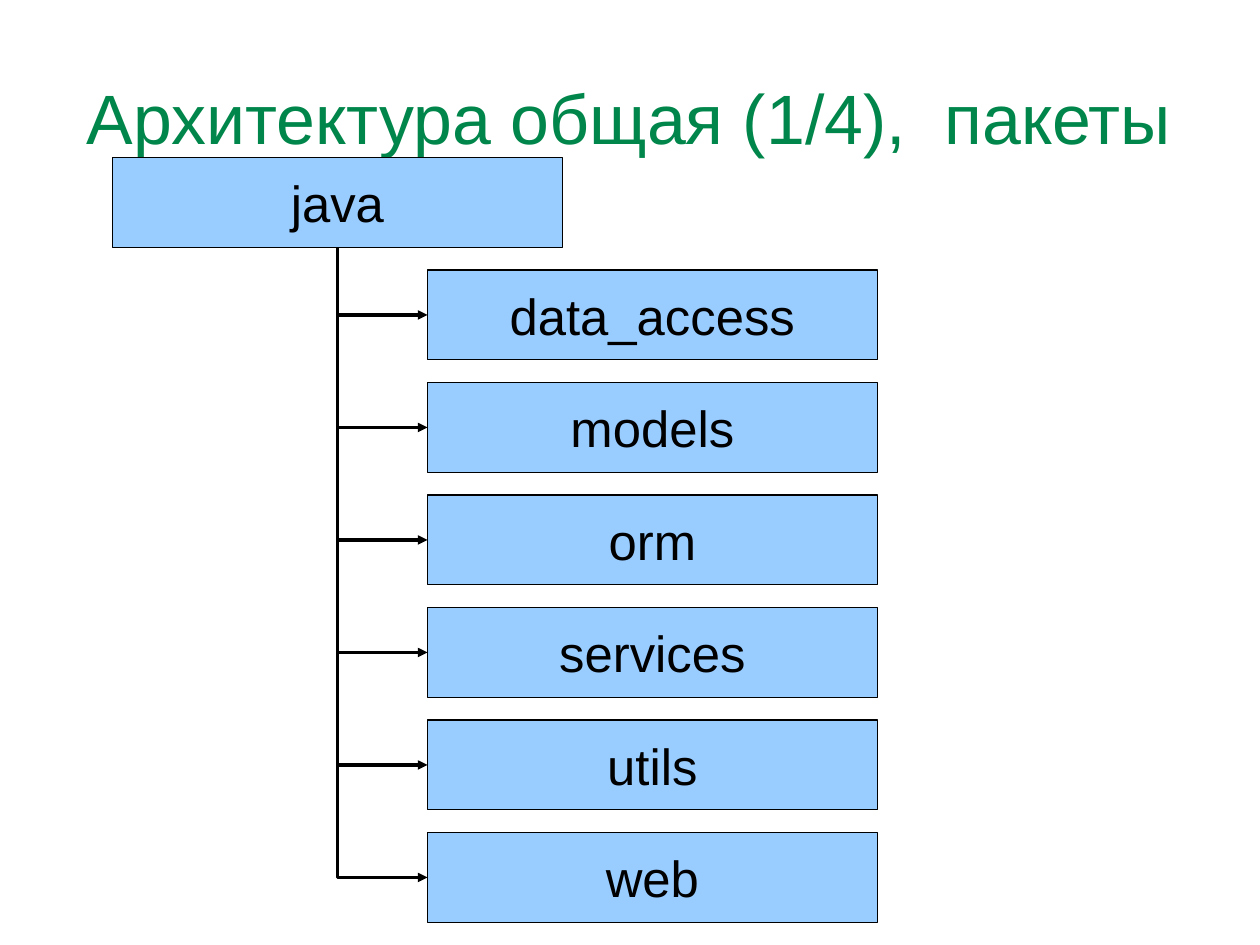
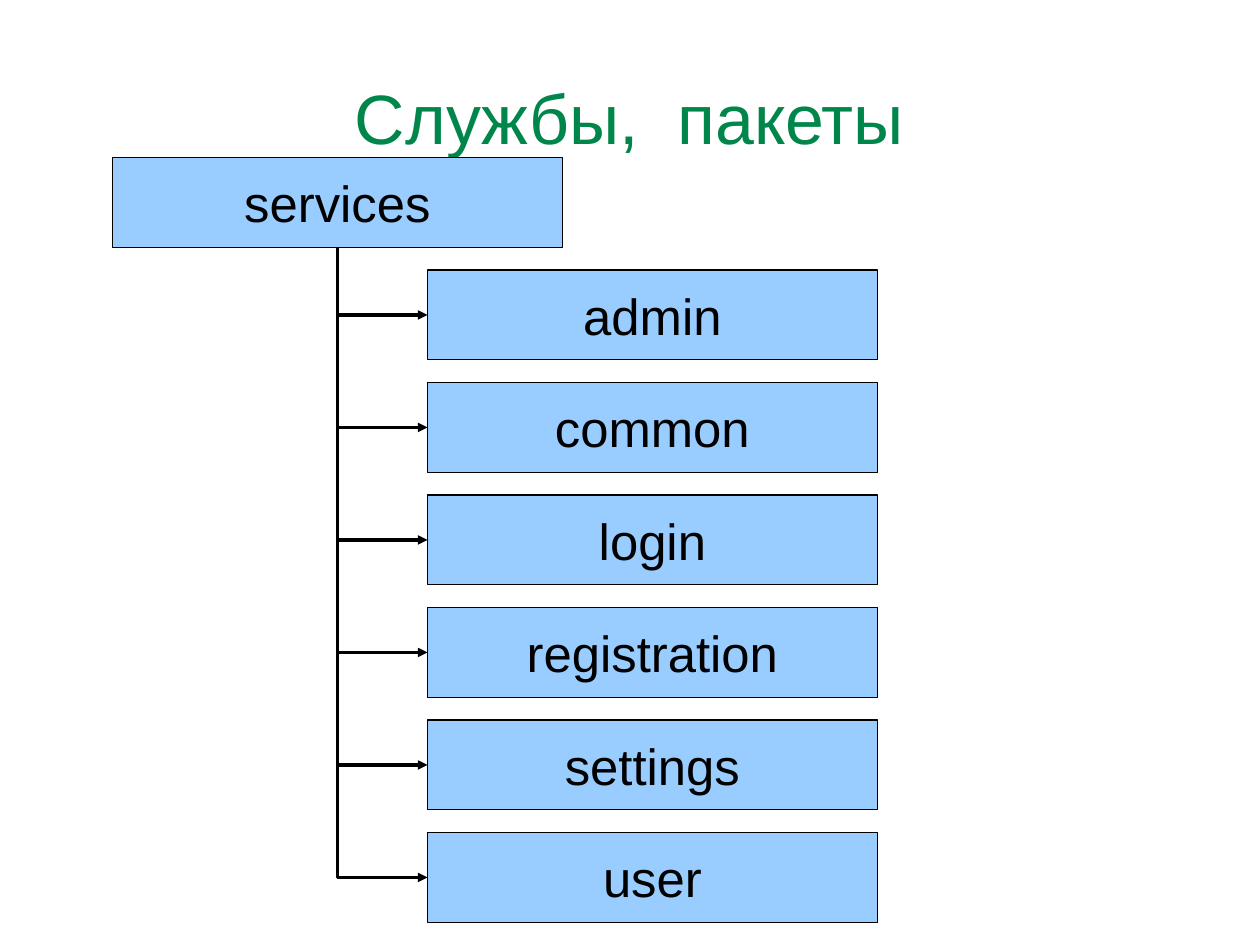
from lxml import etree
from pptx import Presentation
from pptx import util as u
from pptx.dml.color import RGBColor
from pptx.enum import shapes, text
from pptx.oxml.ns import qn

PX = 3600  # EMU per px: a tenth of a millimetre

GREEN = RGBColor(0x00, 0x86, 0x4B)
BLUE = RGBColor(0x99, 0xCC, 0xFF)
BLACK = RGBColor(0x00, 0x00, 0x00)

FONT = "Arial"
TITLE_BOX = (140, 84, 2520, 350)
BOX_W, BOX_H = 1000, 200
ROOT_X, ROOT_Y = 250, 350
CHILD_X, PITCH = 950, 250
TRUNK_X = ROOT_X + BOX_W // 2

TITLE_FRAME = dict(margin_left=0, margin_top=0, margin_right=0, margin_bottom=0,
                   word_wrap=True, auto_size=text.MSO_AUTO_SIZE.NONE,
                   vertical_anchor=text.MSO_ANCHOR.MIDDLE)
BOX_FRAME = dict(word_wrap=False, vertical_anchor=text.MSO_ANCHOR.MIDDLE)

SLIDES = [
    ("Архитектура общая (1/4),  пакеты", "java",
     ["data_access", "models", "orm", "services", "utils", "web"]),
    ("Службы,  пакеты", "services",
     ["admin", "common", "login", "registration", "settings", "user"]),
]


def set_attrs(obj, values):
    for name, value in values.items():
        setattr(obj, name, value)


def px(*lengths):
    return [u.Emu(round(n * PX)) for n in lengths]


def write(sp, words, size, color, frame):
    """Put one centred paragraph into a shape."""
    tf = sp.text_frame
    set_attrs(tf, frame)
    p = tf.paragraphs[0]
    p.alignment = text.PP_ALIGN.CENTER
    r = p.add_run()
    r.text = words
    set_attrs(r.font, dict(name=FONT, size=u.Pt(size)))
    r.font.color.rgb = color


def add_title(s, words):
    title = s.shapes.title
    set_attrs(title, dict(zip(("left", "top", "width", "height"), px(*TITLE_BOX))))
    write(title, words, 44, GREEN, TITLE_FRAME)


def set_line(line):
    line.color.rgb = BLACK
    line.width = 0


def add_box(s, x, y, words):
    sp = s.shapes.add_shape(shapes.MSO_SHAPE.RECTANGLE, *px(x, y, BOX_W, BOX_H))
    sp.shadow.inherit = False
    sp.fill.solid()
    sp.fill.fore_color.rgb = BLUE
    set_line(sp.line)
    write(sp, words, 32, BLACK, BOX_FRAME)


def add_branch(s, y1, y2):
    """Draw an arrow down the trunk from y1 to y2, then right to a child box.

    The one-bend preset runs across and then down, so it is mirrored and
    turned by 270 degrees about the centre of the branch.
    """
    cx, cy = (TRUNK_X + CHILD_X) / 2, (y1 + y2) / 2
    half_w, half_h = (y2 - y1) / 2, (CHILD_X - TRUNK_X) / 2
    cxn = s.shapes.add_connector(
        shapes.MSO_CONNECTOR.ELBOW,
        *px(cx + half_w, cy - half_h, cx - half_w, cy + half_h))
    set_line(cxn.line)
    sp_pr = cxn._element.spPr
    sp_pr.find(qn("a:xfrm")).set("rot", str(270 * 60000))
    sp_pr.find(qn("a:prstGeom")).set("prst", "bentConnector2")
    etree.SubElement(sp_pr.find(qn("a:ln")), qn("a:tailEnd"), type="triangle")
    etree.SubElement(sp_pr, qn("a:effectLst"))


def add_tree(s, root, children):
    add_box(s, ROOT_X, ROOT_Y, root)
    tops = [ROOT_Y + PITCH * (i + 1) for i in range(len(children))]
    for top, child in zip(tops, children):
        add_box(s, CHILD_X, top, child)
    stops = [ROOT_Y + BOX_H] + [top + BOX_H // 2 for top in tops]
    for y1, y2 in zip(stops, stops[1:]):
        add_branch(s, y1, y2)


def main():
    prs = Presentation()
    prs.slide_width, prs.slide_height = px(2800, 2100)
    title_only = prs.slide_layouts[5]
    for title, root, children in SLIDES:
        s = prs.slides.add_slide(title_only)
        add_title(s, title)
        add_tree(s, root, children)
    prs.save("out.pptx")


if __name__ == "__main__":
    main()
